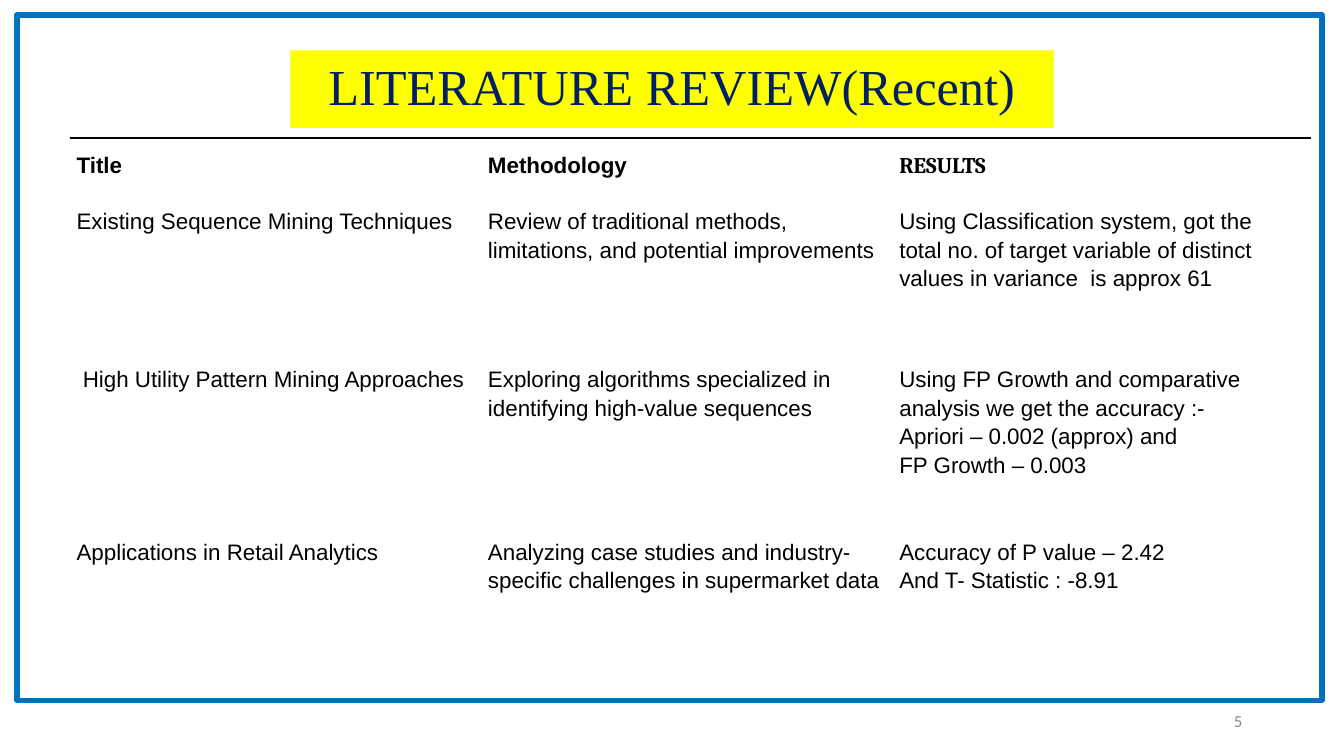
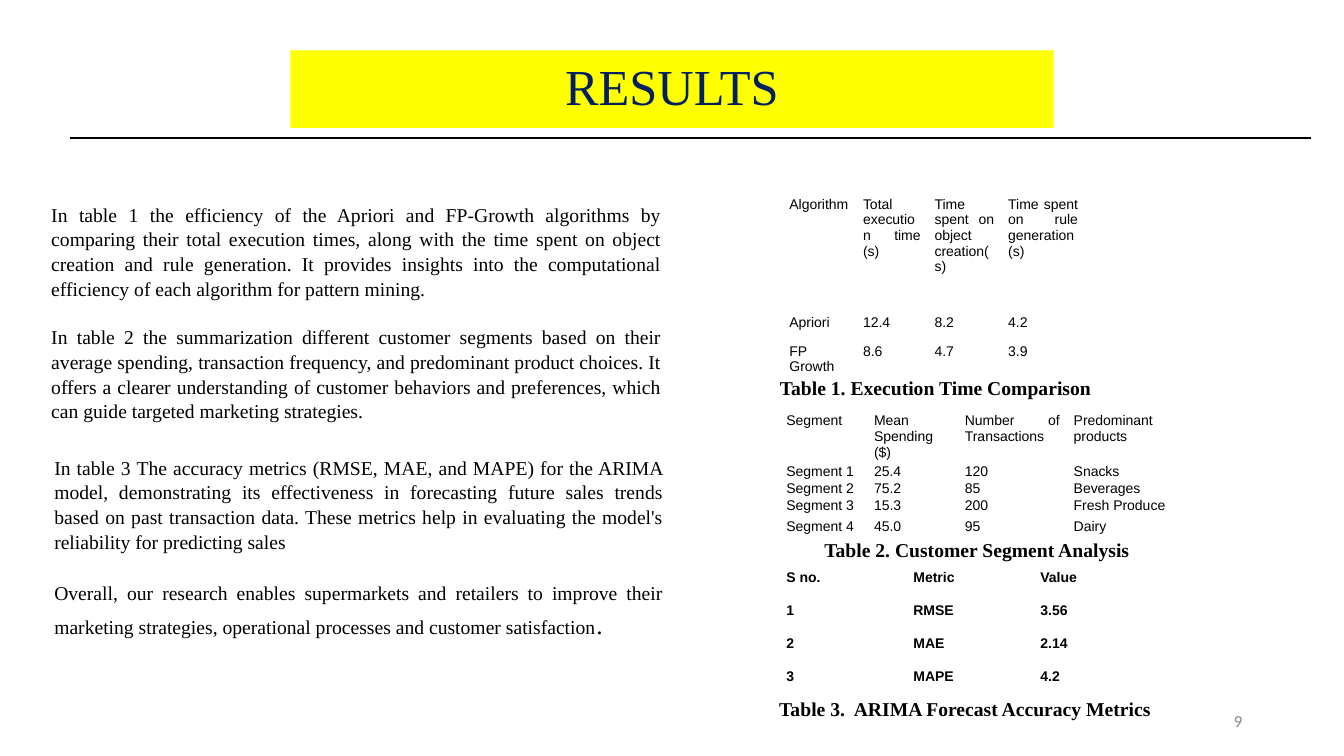
from lxml import etree
from pptx import Presentation
from pptx.dml.color import RGBColor
from pptx.enum.shapes import MSO_CONNECTOR, MSO_SHAPE
from pptx.enum.text import MSO_ANCHOR, PP_ALIGN
from pptx.oxml.ns import qn
from pptx.util import Inches, Pt

LEFT, CENTER, RIGHT, JUSTIFY = PP_ALIGN.LEFT, PP_ALIGN.CENTER, PP_ALIGN.RIGHT, PP_ALIGN.JUSTIFY
MIDDLE, TOP = MSO_ANCHOR.MIDDLE, MSO_ANCHOR.TOP
RECTANGLE, STRAIGHT = MSO_SHAPE.RECTANGLE, MSO_CONNECTOR.STRAIGHT

COLORS = {
    "black": "000000",
    "title": "002060",
    "band": "FFFF00",
    "frame": "0070C0",
    "number": "888888",
}
SERIF, SANS = "Times New Roman", "Arial"


def color(name):
    return RGBColor.from_string(COLORS[name])


def add_span(para, text, size, font, bold, ink):
    span = para.add_run()
    span.text = text
    span.font.size = Pt(size)
    span.font.name = font
    span.font.bold = bold
    span.font.color.rgb = color(ink)


def write(frame, text, size=14, font=SERIF, bold=False, ink="black",
          align=LEFT, spacing=1.0, after=0, tail="", tail_size=18):
    for index, line in enumerate(text.split("\n")):
        para = frame.paragraphs[0] if index == 0 else frame.add_paragraph()
        para.alignment = align
        para.line_spacing = spacing
        para.space_after = Pt(after)
        add_span(para, line, size, font, bold, ink)
    if tail:
        add_span(para, tail, tail_size, font, bold, ink)


class Builder:
    def __init__(self):
        self.deck = Presentation()
        self.deck.slide_width = Inches(13.33)
        self.deck.slide_height = Inches(7.5)
        self.page = None

    def start_page(self, title, number):
        self.page = self.deck.slides.add_slide(self.deck.slide_layouts[6])
        band = self.text(2.88, 0.5, 7.57, 0.77, title, anchor=MIDDLE, size=36,
                         ink="title", align=CENTER, spacing=0.9)
        band.fill.solid()
        band.fill.fore_color.rgb = color("band")
        self.text(9.42, 6.95, 3, 0.4, number, anchor=MIDDLE, size=12,
                  font="Calibri", ink="number", align=RIGHT)
        self.rule(0.69, 13, 1.37)

    def text(self, left, top, width, height, text, anchor=TOP, **style):
        box = self.page.shapes.add_textbox(
            Inches(left), Inches(top), Inches(width), Inches(height))
        box.text_frame.word_wrap = True
        box.text_frame.vertical_anchor = anchor
        write(box.text_frame, text, **style)
        return box

    def caption(self, left, top, width, text, align=CENTER):
        self.text(left, top, width, 0.32, text, bold=True, align=align, spacing=0.95)

    def rule(self, start, end, height):
        line = self.page.shapes.add_connector(
            STRAIGHT, Inches(start), Inches(height), Inches(end), Inches(height))
        line.line.color.rgb = color("black")
        line.line.width = Pt(1.25)
        etree.SubElement(line._element.spPr, qn("a:effectLst"))

    def frame(self, left, top, width, height):
        box = self.page.shapes.add_shape(
            RECTANGLE, Inches(left), Inches(top), Inches(width), Inches(height))
        box.shadow.inherit = False
        box.fill.background()
        box.line.color.rgb = color("frame")
        box.line.width = Pt(4)

    def table(self, left, top, widths, heights, rows, bold_rows=0, fonts=None, **style):
        table = self.page.shapes.add_table(
            len(rows), len(widths), Inches(left), Inches(top),
            Inches(sum(widths)), Inches(sum(heights))).table
        table.first_row = table.horz_banding = False
        for column, width in zip(table.columns, widths):
            column.width = Inches(width)
        for row_index, (values, height) in enumerate(zip(rows, heights)):
            table.rows[row_index].height = Inches(height)
            for column_index, value in enumerate(values):
                cell = table.cell(row_index, column_index)
                cell.fill.background()
                cell.margin_left = cell.margin_right = Inches(0.07)
                cell.margin_top = cell.margin_bottom = 0
                font = (fonts or {}).get((row_index, column_index), SANS)
                write(cell.text_frame, value, font=font,
                      bold=row_index < bold_rows, **style)


def build_review(builder):
    builder.start_page("LITERATURE REVIEW(Recent)", "5")
    builder.frame(0.17, 0.15, 12.94, 6.8)
    rows = [
        ("Title", "Methodology", "RESULTS"),
        ("Existing Sequence Mining Techniques",
         "Review of traditional methods, limitations, and potential improvements",
         "Using Classification system, got the total no. of target variable of "
         "distinct values in variance  is approx 61"),
        (" High Utility Pattern Mining Approaches",
         "Exploring algorithms specialized in identifying high-value sequences",
         "Using FP Growth and comparative analysis we get the accuracy :-\n"
         "Apriori – 0.002 (approx) and\nFP Growth – 0.003"),
        ("Applications in Retail Analytics",
         "Analyzing case studies and industry-specific challenges in supermarket data",
         "Accuracy of P value – 2.42\nAnd T- Statistic : -8.91"),
    ]
    builder.table(0.69, 1.48, [4.08] * 3, [0.56, 1.57, 1.71, 1.34], rows,
                  bold_rows=1, fonts={(0, 2): "Cambria"}, size=16, spacing=1.15)


def build_results(builder):
    builder.start_page("RESULTS", "9")
    builder.text(
        0.41, 1.95, 6.25, 2.22,
        "In table 1 the efficiency of the Apriori and FP-Growth algorithms by comparing "
        "their total execution times, along with the time spent on object creation and "
        "rule generation. It provides insights into the computational efficiency of each "
        "algorithm for pattern mining.\n"
        "In table 2 the summarization different customer segments based on their average "
        "spending, transaction frequency, and predominant product choices. It offers a "
        "clearer understanding of customer behaviors and preferences, which can guide "
        "targeted marketing strategies.",
        align=JUSTIFY, spacing=1.05, after=17)
    builder.text(
        0.44, 4.46, 6.24, 1.1,
        "In table 3 The accuracy metrics (RMSE, MAE, and MAPE) for the ARIMA model, "
        "demonstrating its effectiveness in forecasting future sales trends based on past "
        "transaction data. These metrics help in evaluating the model's reliability for "
        "predicting sales",
        align=JUSTIFY, spacing=1.05)
    builder.text(
        0.44, 5.68, 6.24, 0.75,
        "Overall, our research enables supermarkets and retailers to improve their "
        "marketing strategies, operational processes and customer satisfaction",
        align=JUSTIFY, spacing=1.15, tail=".")

    small = {"size": 10, "align": JUSTIFY}
    builder.table(7.76, 1.95, [0.73, 0.71, 0.73, 0.83], [1.17, 0.29, 0.29], [
        ("Algorithm", "Total execution time (s)", "Time spent on object creation(s)",
         "Time spent on rule generation(s)"),
        ("Apriori", "12.4", "8.2", "4.2"),
        ("FP Growth", "8.6", "4.7", "3.9"),
    ], **small)
    builder.caption(7.28, 3.7, 4, "Table 1. Execution Time Comparison")

    builder.table(7.73, 4.1, [0.87, 0.9, 1.08, 1.09], [0.48, 0.16, 0.16, 0.21, 0.16], [
        ("Segment", "Mean Spending ($)", "Number of Transactions", "Predominant products"),
        ("Segment 1", "25.4", "120", "Snacks"),
        ("Segment 2", "75.2", "85", "Beverages"),
        ("Segment 3", "15.3", "200", "Fresh Produce "),
        ("Segment 4", "45.0", "95", "Dairy"),
    ], **small)
    builder.caption(7.69, 5.3, 4, "Table 2. Customer Segment Analysis")

    builder.table(7.73, 5.65, [1.26] * 3, [0.33] * 4, [
        ("S no.", "Metric", "Value"),
        ("1", "RMSE", "3.56"),
        ("2", "MAE", "2.14"),
        ("3", "MAPE", "4.2"),
    ], bold_rows=4, **small)
    builder.caption(7.63, 6.88, 4.38, "Table 3.  ARIMA Forecast Accuracy Metrics", LEFT)


def main():
    builder = Builder()
    build_review(builder)
    build_results(builder)
    builder.deck.save("out.pptx")


if __name__ == "__main__":
    main()
